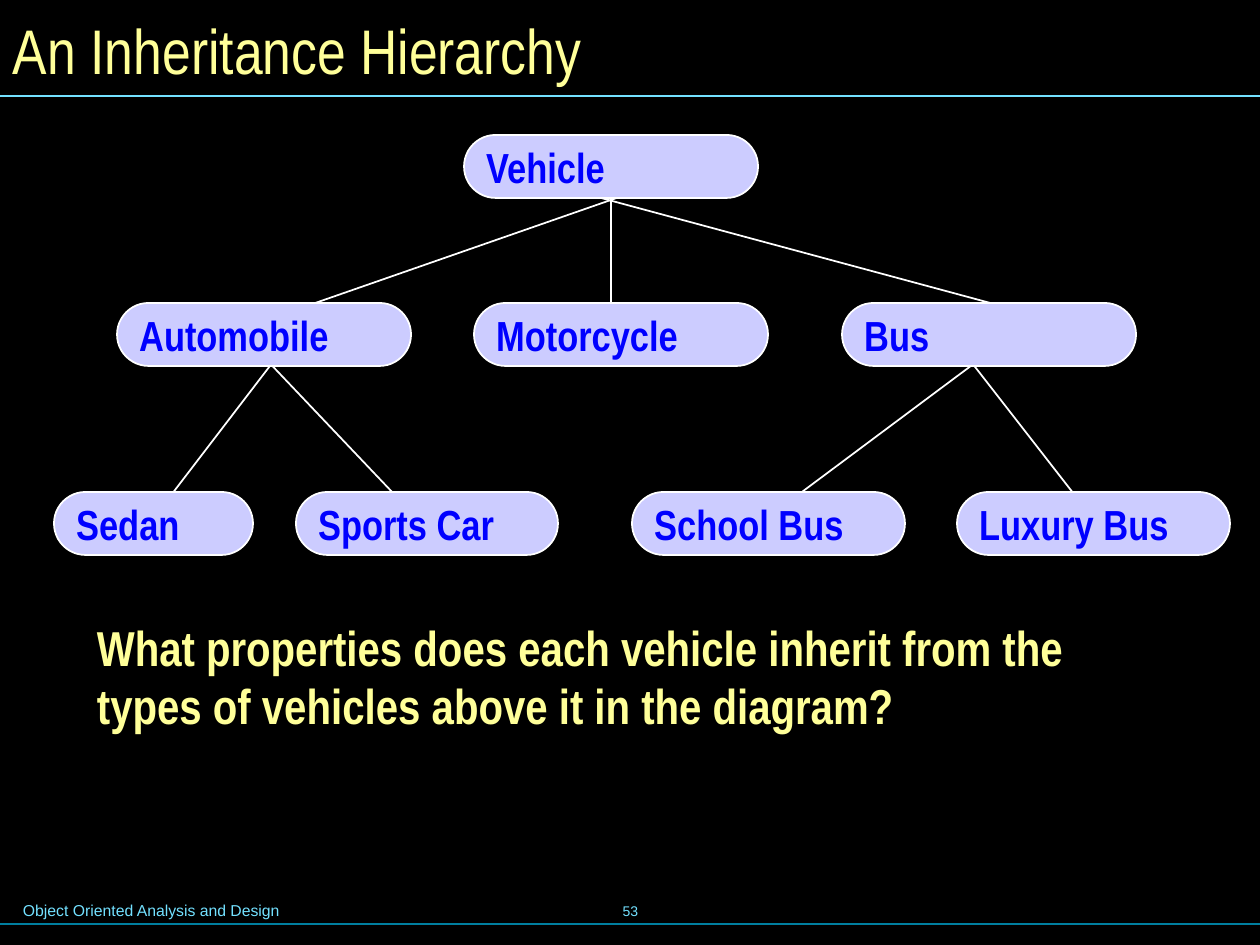
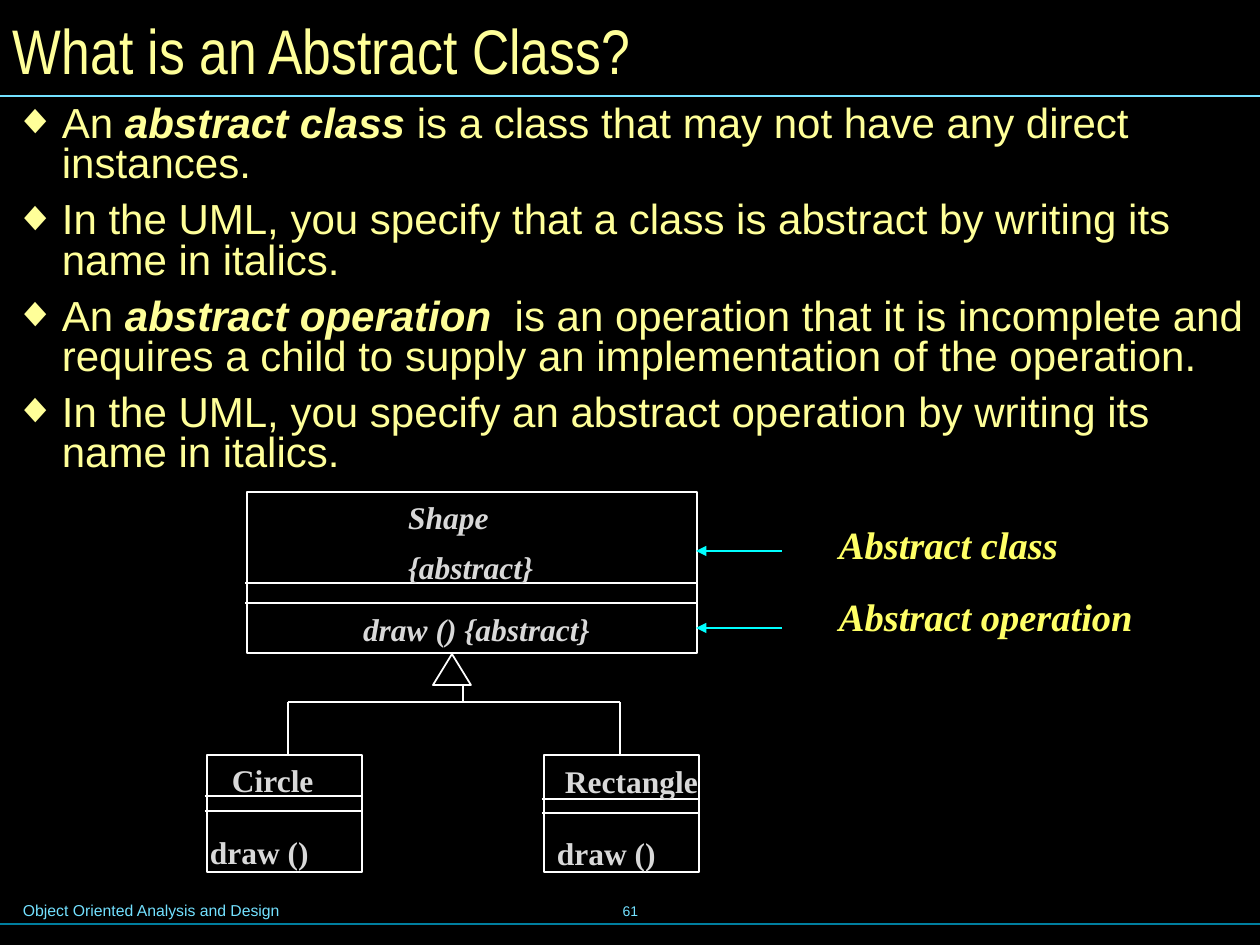
from lxml import etree
from pptx import Presentation
from pptx import util as u
from pptx.dml.color import RGBColor
from pptx.enum import shapes, text
from pptx.oxml.ns import qn

PX = 914400 / 126  # EMU in one px
WIDE, HIGH = 1260, 945

# Colours and text styles
BLACK, WHITE, PALE, GOLD = "000000", "FFFFFF", "FFFF99", "FFFF66"
SKY, TEAL, CYAN, LILAC, BLUE, GREY = (
    "73E1FF", "007E9F", "00FFFF", "CCCCFF", "0000FF", "D9D9D9")
SANS, SLIM, SERIF = "Arial", "Arial Narrow", "Times New Roman"
STYLES = {
    "title": dict(name=SLIM, size=36, color=PALE),
    "foot": dict(name=SANS, size=9, color=SKY),
    "page": dict(name=SANS, size=8, color=SKY),
    "pill": dict(name=SLIM, size=24, color=BLUE, bold=True),
    "ask": dict(name=SLIM, size=28, color=PALE, bold=True),
    "body": dict(name=SANS, size=24, color=PALE),
    "term": dict(name=SANS, size=24, color=PALE, bold=True, italic=True),
    "note": dict(name=SERIF, size=22, color=GOLD, bold=True, italic=True),
    "uml": dict(name=SERIF, size=18, color=GREY, bold=True),
    "umlit": dict(name=SERIF, size=18, color=GREY, bold=True, italic=True),
}

FOOT = "Object Oriented Analysis and Design"

# Vehicle tree: row top, then (name, left, width)
PILL_H = 63
ROWS = [
    (135, [("Vehicle", 464, 294)]),
    (303, [("Automobile", 117, 294), ("Motorcycle", 474, 294),
           ("Bus", 842, 294)]),
    (492, [("Sedan", 54, 199), ("Sports Car", 296, 262),
           ("School Bus", 632, 273), ("Luxury Bus", 957, 273)]),
]
LINKS = [
    (674, 178, 255, 324), (611, 166, 611, 345), (527, 178, 1031, 314),
    (286, 345, 149, 524), (243, 335, 432, 534),
    (999, 345, 759, 524), (958, 345, 1105, 534),
]
ASK = ("What properties does each vehicle inherit from the types of "
       "vehicles above it in the diagram?")

# Abstract class: each bullet is a list of (words, style)
POINTS = [
    [("An ", "body"), ("abstract class ", "term"),
     ("is a class that may not have any direct instances.", "body")],
    [("In the UML, you specify that a class is abstract by writing its "
      "name in italics.", "body")],
    [("An ", "body"), ("abstract operation  ", "term"),
     ("is an operation that it is incomplete and requires a child to "
      "supply an implementation of the operation.", "body")],
    [("In the UML, you specify an abstract operation by writing its "
      "name in italics.", "body")],
]
# Class boxes: frame, divider heights, style, (lines, place)
CLASSES = [
    ((247, 492, 450, 161), (583, 603), "umlit",
     [(["Shape", "{abstract}"], (395, 492, 170, 100)),
      (["draw () {abstract}"], (350, 604, 270, 50))]),
    ((207, 755, 155, 117), (796, 811), "uml",
     [(["Circle"], (219, 755, 125, 50)), (["draw ()"], (197, 827, 140, 50))]),
    ((544, 755, 155, 117), (799, 813), "uml",
     [(["Rectangle"], (552, 756, 175, 50)),
      (["draw ()"], (544, 828, 140, 50))]),
]
TIP = [(452, 654), (471, 685), (433, 685)]
TREE = [(463, 702, 463, 685), (288, 702, 620, 702),
        (288, 755, 288, 702), (620, 755, 620, 702)]
# Notes: words, text top, arrow height
NOTES = [("Abstract class", 515, 551), ("Abstract operation", 587, 628)]


def emu(*nums):
    return [u.Emu(round(n * PX)) for n in nums]


def rgb(hue):
    return RGBColor.from_string(hue)


def stroke(item, hue=WHITE, size=1):
    item.line.color.rgb = rgb(hue)
    item.line.width = u.Pt(size)


def line(slide, ends, hue=WHITE, size=1, head=False):
    link = slide.shapes.add_connector(
        shapes.MSO_CONNECTOR.STRAIGHT, *emu(*ends))
    stroke(link, hue, size)
    if head:
        etree.SubElement(link.line._get_or_add_ln(), qn("a:tailEnd"),
                         type="triangle")
    etree.SubElement(link._element.spPr, qn("a:effectLst"))


def style(font, key):
    for attr, val in STYLES[key].items():
        if attr == "color":
            font.color.rgb = rgb(val)
        else:
            setattr(font, attr, u.Pt(val) if attr == "size" else val)


def write(shape, paras, mid=False, pad=(13, 6), **form):
    """Fill a shape with paragraphs, each a list of (words, style)."""
    frame = shape.text_frame
    frame.word_wrap = True
    frame.vertical_anchor = (text.MSO_ANCHOR.MIDDLE if mid
                             else text.MSO_ANCHOR.TOP)
    side, edge = emu(*pad)
    frame.margin_left = frame.margin_right = side
    frame.margin_top = frame.margin_bottom = edge
    for num, runs in enumerate(paras):
        para = frame.add_paragraph() if num else frame.paragraphs[0]
        para.alignment = text.PP_ALIGN.LEFT
        for attr, val in form.items():
            if num or attr != "space_before":
                setattr(para, attr, val)
        for words, key in runs:
            run = para.add_run()
            run.text = words
            style(run.font, key)
    return frame


def label(slide, place, paras, **form):
    return write(slide.shapes.add_textbox(*emu(*place)), paras, **form)


def bullet(para):
    props = para._p.get_or_add_pPr()
    step = emu(47)[0]
    props.set("marL", str(step))
    props.set("indent", str(-step))
    tint = etree.SubElement(props, qn("a:buClr"))
    etree.SubElement(tint, qn("a:srgbClr"), val=PALE)
    etree.SubElement(props, qn("a:buFont"), typeface=SANS)
    etree.SubElement(props, qn("a:buChar"), char="◆")


def base(deck, title, page):
    """Add a slide with the shared ground, title, rules and footer."""
    slide = deck.slides.add_slide(deck.slide_layouts[6])
    fill = slide.background.fill
    fill.solid()
    fill.fore_color.rgb = rgb(BLACK)
    label(slide, (10, 895, 643, 32), [[(FOOT, "foot")]])
    label(slide, (431, 879, 399, 63), [[(page, "page")]], mid=True,
          alignment=text.PP_ALIGN.CENTER)
    line(slide, (0, 924, WIDE, 924), TEAL, 0.75)
    line(slide, (0, 96, WIDE, 96), SKY, 0.75)
    label(slide, (0, 0, 1251, 98), [[(title, "title")]], mid=True)
    return slide


def vehicles(deck):
    slide = base(deck, "An Inheritance Hierarchy", "53")
    # Links run behind the pills
    for ends in LINKS:
        line(slide, ends)
    for top, pills in ROWS:
        for name, left, width in pills:
            pill = slide.shapes.add_shape(
                shapes.MSO_SHAPE.ROUNDED_RECTANGLE,
                *emu(left, top, width, PILL_H))
            pill.adjustments[0] = 0.5
            pill.shadow.inherit = False
            pill.fill.solid()
            pill.fill.fore_color.rgb = rgb(LILAC)
            stroke(pill)
            write(pill, [[(name, "pill")]], mid=True)
    label(slide, (84, 611, 1094, 131), [[(ASK, "ask")]])


def abstract(deck):
    slide = base(deck, "What is an Abstract Class?", "61")
    frame = label(slide, (0, 98, WIDE, 774), POINTS, pad=(15, 8),
                  line_spacing=0.8, space_before=u.Pt(9))
    for para in frame.paragraphs:
        bullet(para)
    # Class boxes
    for place, cuts, key, parts in CLASSES:
        box = slide.shapes.add_shape(shapes.MSO_SHAPE.RECTANGLE, *emu(*place))
        box.shadow.inherit = False
        box.fill.background()
        stroke(box)
        left, width = place[0], place[2]
        for cut in cuts:
            line(slide, (left - 2, cut, left + width + 1, cut))
        for words, spot in parts:
            label(slide, spot, [[(word, key)] for word in words],
                  space_after=u.Pt(6.8))
    # Inheritance arrow
    form = slide.shapes.build_freeform(*TIP[0], scale=PX)
    form.add_line_segments(TIP[1:], close=True)
    tip = form.convert_to_shape()
    tip.shadow.inherit = False
    tip.fill.background()
    stroke(tip)
    for ends in TREE:
        line(slide, ends)
    # Side notes
    for words, top, mid in NOTES:
        label(slide, (826, top, 369, 59), [[(words, "note")]])
        line(slide, (782, mid, 696, mid), CYAN, head=True)


def main():
    deck = Presentation()
    deck.slide_width, deck.slide_height = emu(WIDE, HIGH)
    vehicles(deck)
    abstract(deck)
    deck.save("out.pptx")


if __name__ == "__main__":
    main()
